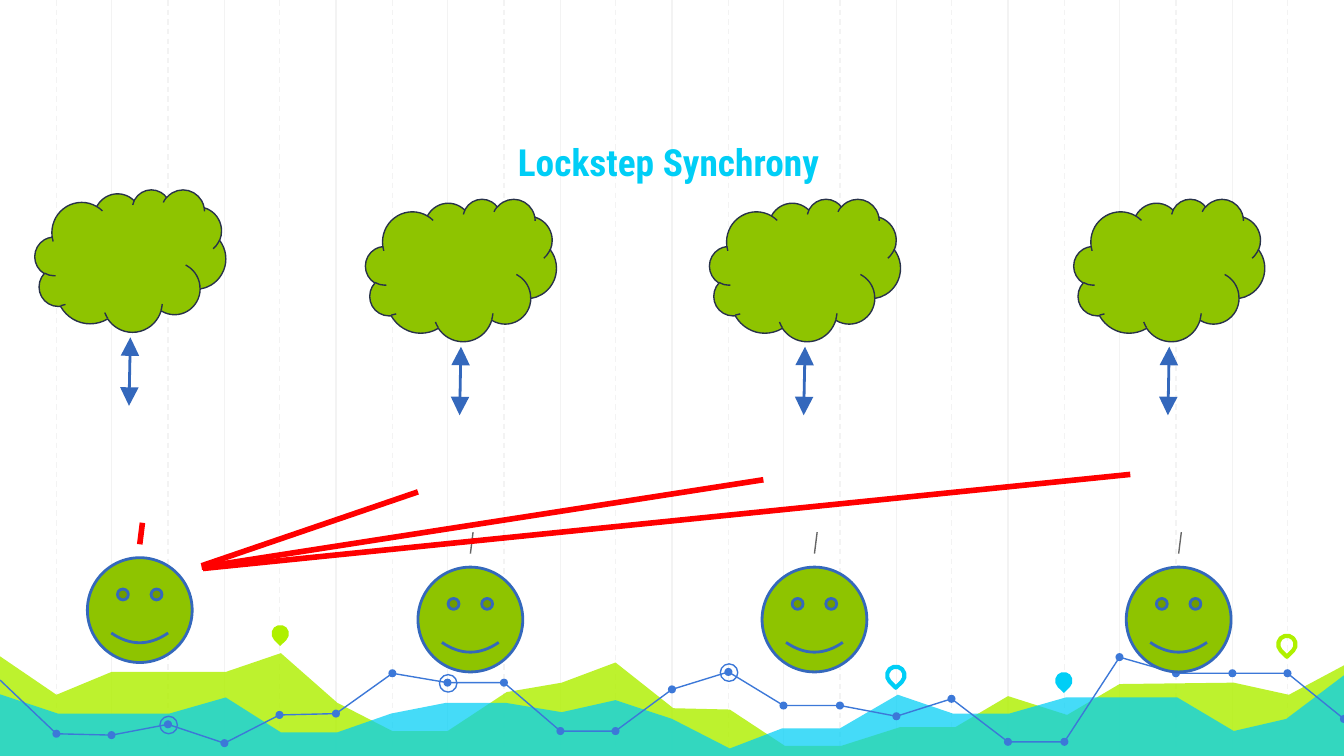
from lxml import etree
from pptx import Presentation
from pptx.dml.color import RGBColor
from pptx.enum.dml import MSO_LINE
from pptx.enum.shapes import MSO_CONNECTOR, MSO_SHAPE
from pptx.enum.text import MSO_ANCHOR, MSO_AUTO_SIZE, PP_ALIGN
from pptx.oxml.ns import qn
from pptx.util import Pt

PX = 9144
WIDE = 1000
STEP = WIDE / 24

STRAIGHT = MSO_CONNECTOR.STRAIGHT
CLOUD, FACE = MSO_SHAPE.CLOUD, MSO_SHAPE.SMILEY_FACE
OVAL, TEAR = MSO_SHAPE.OVAL, MSO_SHAPE.TEAR
DASH = MSO_LINE.DASH
BOTTOM, CENTER = MSO_ANCHOR.BOTTOM, PP_ALIGN.CENTER
FIXED = MSO_AUTO_SIZE.NONE

LIME = RGBColor(0xAF, 0xF0, 0x00)
CYAN = RGBColor(0x00, 0xCE, 0xF6)
BLUE = RGBColor(0x3C, 0x78, 0xD8)
GREEN = RGBColor(0x8E, 0xC4, 0x00)
NAVY = RGBColor(0x28, 0x32, 0x4A)
STEEL = RGBColor(0x34, 0x68, 0xBC)
RED = RGBColor(0xFF, 0x00, 0x00)
GRAY = RGBColor(0x66, 0x66, 0x66)
PALE = RGBColor(0xF3, 0xF3, 0xF3)
WHITE = RGBColor(0xFF, 0xFF, 0xFF)

deck = Presentation()
deck.slide_width = WIDE * PX
deck.slide_height = WIDE * PX * 9 // 16
slide = deck.slides.add_slide(deck.slide_layouts[5])
slide.background.fill.solid()
slide.background.fill.fore_color.rgb = WHITE
shapes = slide.shapes


def paint(shape, fill=None, line=None, width=0.75):
    shape.shadow.inherit = False
    if fill is None:
        shape.fill.background()
    else:
        shape.fill.solid()
        shape.fill.fore_color.rgb = fill
    if line is None:
        shape.line.fill.background()
    else:
        shape.line.color.rgb = line
        shape.line.width = Pt(width)


def link(start, end, color, width=0.75, heads=False):
    line = shapes.add_connector(STRAIGHT, *[v * PX for v in (*start, *end)])
    line.line.color.rgb = color
    line.line.width = Pt(width)
    props = line.element.spPr
    if heads:
        for tag in ("a:headEnd", "a:tailEnd"):
            etree.SubElement(props.find(qn("a:ln")), qn(tag),
                             type="triangle", w="lg", len="lg")
    etree.SubElement(props, qn("a:effectLst"))
    return line


for i in range(1, 24):
    x = round(i * STEP)
    rule = link((x, 0), (x, 565), PALE)
    if i % 2:
        rule.line.dash_style = DASH

back = [(-2, 487), (42, 517), (83, 500), (168, 500), (209, 486), (251, 523),
        (292, 544), (333, 544), (377, 515), (418, 508), (458, 493), (501, 527),
        (543, 528), (584, 555), (626, 555), (670, 541), (711, 541), (750, 518),
        (794, 532), (833, 509), (918, 508), (959, 517), (1002, 494),
        (1001, 564), (-3, 564)]
front = [(-2, 516), (43, 531), (126, 531), (168, 519), (209, 545), (251, 545),
         (291, 531), (332, 523), (376, 523), (418, 530), (458, 521), (500, 535),
         (543, 557), (582, 542), (625, 542), (668, 517), (709, 531), (751, 531),
         (793, 519), (876, 519), (918, 544), (957, 535), (1002, 501),
         (1002, 565), (-3, 565)]
for points, color, alpha in ((back, LIME, 82), (front, CYAN, 73)):
    pen = shapes.build_freeform(*points[0], scale=PX)
    pen.add_line_segments(points[1:], close=True)
    area = pen.convert_to_shape()
    paint(area, color)
    tint = area.element.spPr.find(".//" + qn("a:srgbClr"))
    etree.SubElement(tint, qn("a:alpha"), val=str(alpha * 1000))

for x, y, fill, line in ((202, 465, LIME, None), (660, 496, None, CYAN),
                         (785, 500, CYAN, None), (951, 473, None, LIME)):
    pin = shapes.add_shape(TEAR, x * PX, y * PX, 13 * PX, 13 * PX)
    pin.rotation = 135
    paint(pin, fill, line, 2.25)

levels = [506, 546, 547, 539, 553, 532, 531, 501, 508, 508, 544, 544, 513,
          500, 525, 525, 533, 520, 552, 552, 489, 501, 501, 501, 535]
nodes = [(round(i * STEP), y) for i, y in enumerate(levels)]
for first, last in ((0, 11), (11, 20), (20, 24)):
    pen = shapes.build_freeform(*nodes[first], scale=PX)
    pen.add_line_segments(nodes[first + 1:last + 1], close=False)
    paint(pen.convert_to_shape(), None, BLUE)
for i, (x, y) in enumerate(nodes[1:], 1):
    dot = shapes.add_shape(OVAL, (x - 3) * PX, (y - 3) * PX, 6 * PX, 6 * PX)
    paint(dot, BLUE)
    if i in (3, 8, 13):
        ring = shapes.add_shape(OVAL, (x - 6) * PX, (y - 6) * PX, 13 * PX, 13 * PX)
        paint(ring, None, BLUE)

title = shapes.title
title.element.getparent().append(title.element)
title.left, title.top, title.width, title.height = [v * PX for v in (115, 69, 765, 78)]
frame = title.text_frame
frame.auto_size = FIXED
frame.word_wrap = True
frame.vertical_anchor = BOTTOM
frame.margin_left = frame.margin_right = frame.margin_top = frame.margin_bottom = 10 * PX
para = frame.paragraphs[0]
para.alignment = CENTER
run = para.add_run()
run.text = "Lockstep Synchrony"
run.font.name = "Roboto Condensed"
run.font.size = Pt(20)
run.font.bold = True
run.font.color.rgb = CYAN

for x, y, color, width in ((26, 141, RED, 3), (272, 148, GRAY, 0.75),
                           (528, 148, GRAY, 0.75), (799, 148, GRAY, 0.75)):
    cloud = shapes.add_shape(CLOUD, x * PX, y * PX, 142 * PX, 106 * PX)
    paint(cloud, GREEN, NAVY)
    link((x + 70, y + 161), (x + 71, y + 110), STEEL, 1.5, True)
    face = shapes.add_shape(FACE, (x + 39) * PX, (y + 274) * PX, 78 * PX, 78 * PX)
    paint(face, GREEN, STEEL, 1.5)
    link((x + 80, y + 248), (x + 78, y + 264), color, width)

for start, end in (((311, 366), (150, 421)), ((568, 357), (150, 422)),
                   ((841, 353), (151, 423))):
    link(start, end, RED, 3)

deck.save("out.pptx")
